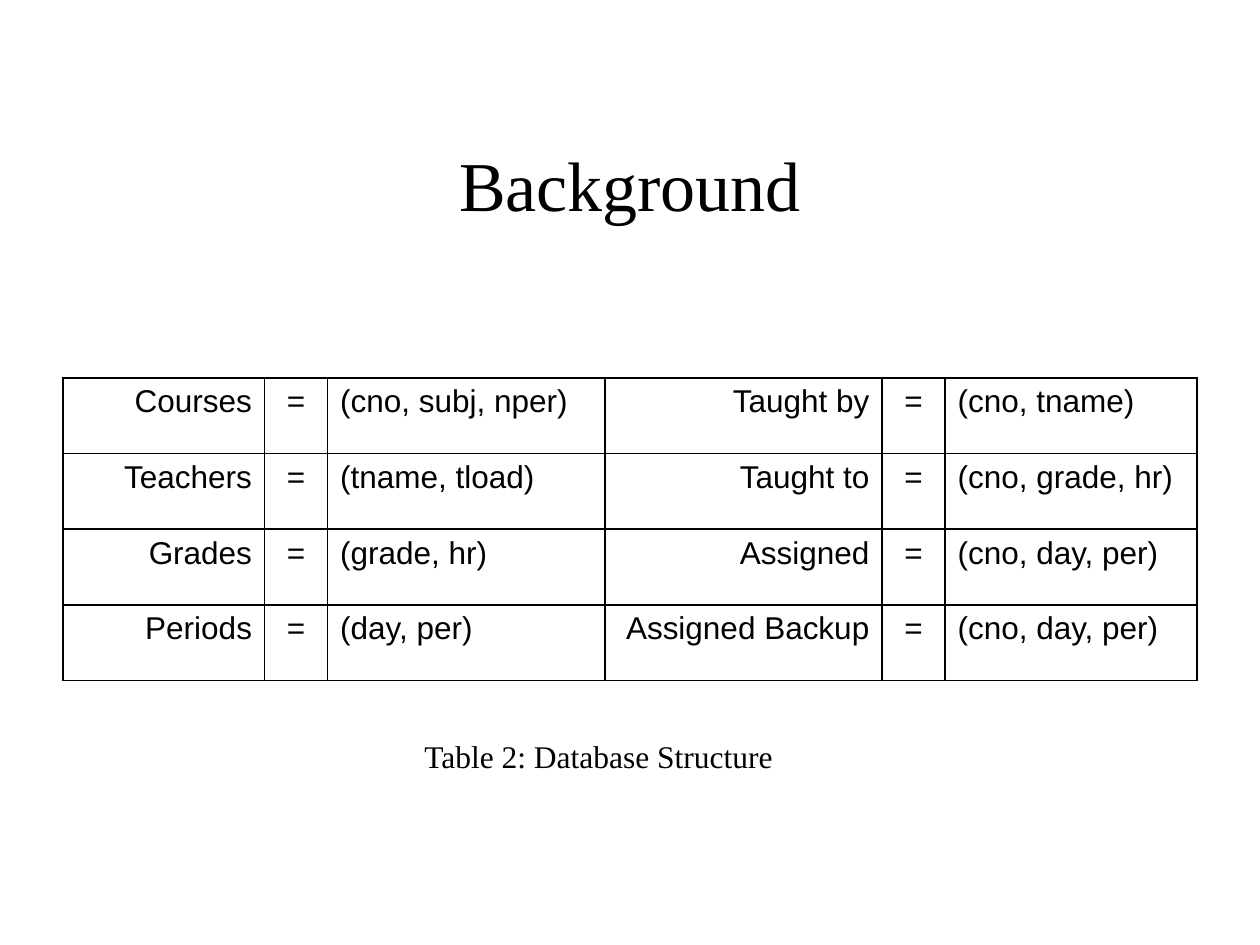
from lxml import etree
from pptx import Presentation
from pptx.dml.color import RGBColor
from pptx.enum.text import MSO_ANCHOR, PP_ALIGN
from pptx.oxml.ns import qn
from pptx.util import Inches, Pt

BLACK = "000000"
SERIF, SANS = "Times New Roman", "Arial"
COLUMN_WIDTHS = [1.6, 0.5, 2.2, 2.2, 0.5, 2]
ROW_HEIGHT = 0.6
ALIGNMENTS = [PP_ALIGN.RIGHT, PP_ALIGN.CENTER, PP_ALIGN.LEFT] * 2
RELATIONS = [
    ("Courses", "(cno, subj, nper)", "Taught by", "(cno, tname)"),
    ("Teachers", "(tname, tload)", "Taught to", "(cno, grade, hr)"),
    ("Grades", "(grade, hr)", "Assigned", "(cno, day, per)"),
    ("Periods", "(day, per)", "Assigned Backup", "(cno, day, per)"),
]


def color(hex_string):
    return RGBColor.from_string(hex_string)


def write(frame, text, *, font=SANS, size=18, fill=BLACK, align=PP_ALIGN.LEFT):
    paragraph = frame.paragraphs[0]
    paragraph.alignment = align
    run = paragraph.add_run()
    run.text = text
    run.font.name = font
    run.font.size = Pt(size)
    run.font.color.rgb = color(fill)


def add_text(slide, box, text, anchor=MSO_ANCHOR.TOP, **text_format):
    frame = slide.shapes.add_textbox(*map(Inches, box)).text_frame
    frame.word_wrap = True
    frame.vertical_anchor = anchor
    write(frame, text, **text_format)


def set_borders(cell, hex_string, width):
    properties = cell._tc.get_or_add_tcPr()
    for position, side in enumerate(("a:lnL", "a:lnR", "a:lnT", "a:lnB")):
        line = etree.Element(qn(side), w=str(Pt(width)))
        fill = etree.SubElement(line, qn("a:solidFill"))
        etree.SubElement(fill, qn("a:srgbClr"), val=hex_string)
        properties.insert(position, line)


def add_relations(slide, box):
    table = slide.shapes.add_table(
        len(RELATIONS), len(COLUMN_WIDTHS), *map(Inches, box)).table
    table.first_row = table.horz_banding = False
    for column, width in zip(table.columns, COLUMN_WIDTHS):
        column.width = Inches(width)
    for row, (left, left_fields, right, right_fields) in enumerate(RELATIONS):
        table.rows[row].height = Inches(ROW_HEIGHT)
        texts = (left, "=", left_fields, right, "=", right_fields)
        for column, (text, align) in enumerate(zip(texts, ALIGNMENTS)):
            cell = table.cell(row, column)
            cell.fill.background()
            set_borders(cell, BLACK, 1)
            write(cell.text_frame, text, align=align)


def main():
    presentation = Presentation()
    presentation.slide_width, presentation.slide_height = Inches(10), Inches(7.5)
    slide = presentation.slides.add_slide(presentation.slide_layouts[6])
    add_text(slide, (0.5, 0.92, 9, 1.08), "Background", MSO_ANCHOR.MIDDLE,
             font=SERIF, size=40, align=PP_ALIGN.CENTER)
    add_relations(slide, (0.5, 3, sum(COLUMN_WIDTHS), ROW_HEIGHT * len(RELATIONS)))
    add_text(slide, (3.27, 5.8, 3, 0.4), "Table 2: Database Structure", font=SERIF)
    presentation.save("out.pptx")


if __name__ == "__main__":
    main()
